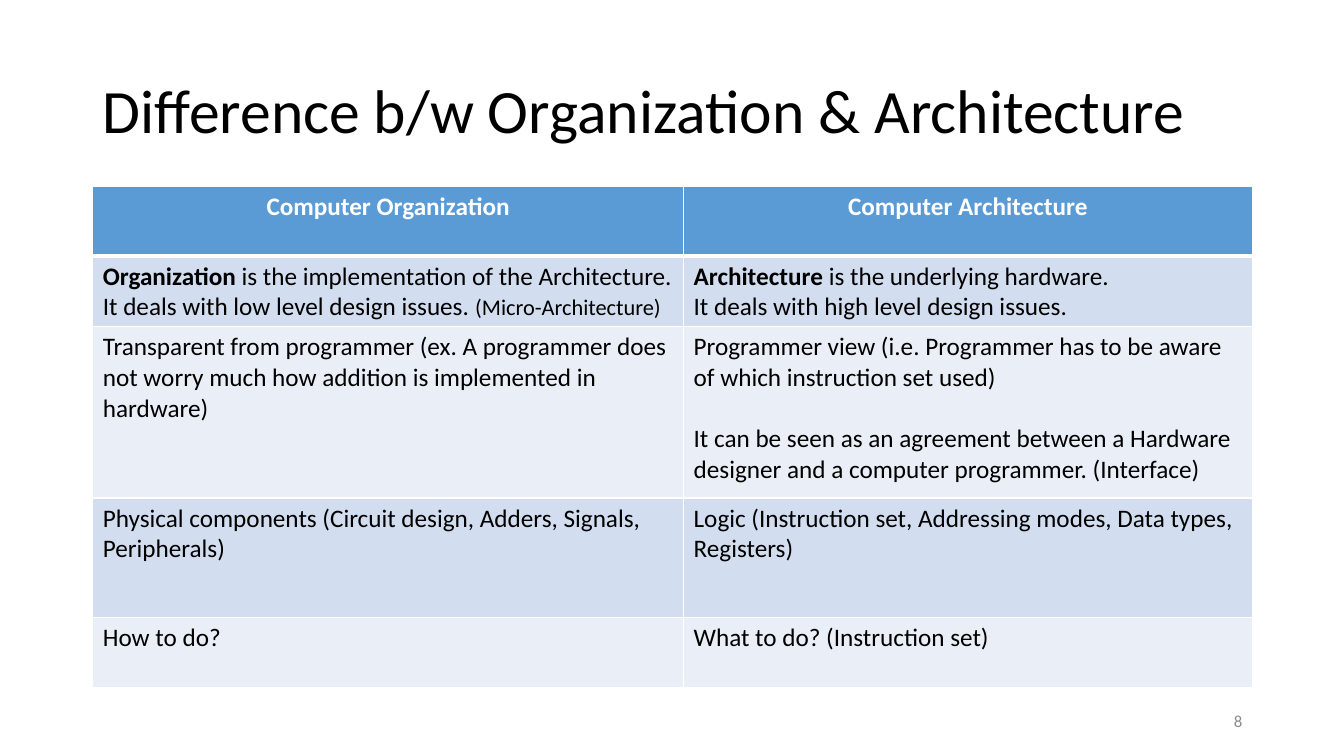
"""Build a slide that compares computer organization with architecture."""
from lxml.etree import SubElement
from pptx import Presentation
from pptx.dml.color import RGBColor
from pptx.enum.text import MSO_ANCHOR, PP_ALIGN
from pptx.oxml import parse_xml
from pptx.oxml.ns import nsdecls, qn
from pptx.util import Inches, Pt

BLACK = RGBColor(0x00, 0x00, 0x00)
WHITE = RGBColor(0xFF, 0xFF, 0xFF)
GRAY = RGBColor(0x8C, 0x8C, 0x8C)
BLUE = RGBColor(0x5B, 0x9B, 0xD5)
BANDS = RGBColor(0xEA, 0xEF, 0xF7), RGBColor(0xD2, 0xDE, 0xEF)

WIDTH, HEIGHT = 13.33, 7.5
MARGIN, TABLE_TOP = 0.92, 1.85
COLS = 5.86, 5.64
ROWS = 0.69, 0.69, 1.7, 1.19, 0.69
GAP = Pt(22)

BODY = {"size": Pt(18), "bold": False}
STRONG = {"bold": True}
SMALL = {"size": Pt(16)}

TITLE = "Difference b/w Organization & Architecture"
PAGE = "8"
TABLE = [
    [[[("Computer Organization", STRONG)]],
     [[("Computer Architecture", STRONG)]]],
    [[[("Organization", STRONG), (" is the implementation of the Architecture.", {})],
      [("It deals with low level design issues. ", {}), ("(Micro-Architecture)", SMALL)]],
     [[("Architecture", STRONG), (" is the underlying hardware.", {})],
      [("It deals with high level design issues.", {})]]],
    [[[("Transparent from programmer (ex. A programmer does not worry much "
        "how addition is implemented in hardware)", {})]],
     [[("Programmer view (i.e. Programmer has to be aware of which instruction set used)", {})],
      [("It can be seen as an agreement between a Hardware designer and a "
        "computer programmer. (Interface)", {})]]],
    [[[("Physical components (Circuit design, Adders, Signals, Peripherals)", {})]],
     [[("Logic (Instruction set, Addressing modes, Data types, Registers)", {})]]],
    [[[("How to do?", {})]],
     [[("What to do? (Instruction set)", {})]]],
]


def add_run(p, text, color, fmt):
    r = p.add_run()
    r.text = text
    r.font.name = "Calibri"
    r.font.color.rgb = color
    for name, value in fmt.items():
        setattr(r.font, name, value)


def add_text(s, text, box, color, size, **para):
    tf = s.shapes.add_textbox(*map(Inches, box)).text_frame
    tf.word_wrap = True
    tf.vertical_anchor = MSO_ANCHOR.MIDDLE
    p = tf.paragraphs[0]
    for name, value in para.items():
        setattr(p, name, value)
    add_run(p, text, color, {"size": Pt(size)})


def set_borders(cell, row):
    tc_pr = cell._tc.get_or_add_tcPr()
    widths = {"L": 1, "R": 1, "T": 3 if row == 1 else 1, "B": 3 if row == 0 else 1}
    for i, (side, width) in enumerate(widths.items()):
        ln = parse_xml(f'<a:ln{side} {nsdecls("a")} w="{Pt(width)}"/>')
        SubElement(SubElement(ln, qn("a:solidFill")), qn("a:srgbClr"), val=str(WHITE))
        tc_pr.insert(i, ln)


def fill_cell(cell, paragraphs, row):
    header = row == 0
    cell.fill.solid()
    cell.fill.fore_color.rgb = BLUE if header else BANDS[row % 2]
    set_borders(cell, row)
    tf = cell.text_frame
    for i, runs in enumerate(paragraphs):
        p = tf.add_paragraph() if i else tf.paragraphs[0]
        p.alignment = PP_ALIGN.CENTER if header else PP_ALIGN.LEFT
        if i and row == 2:
            p.space_before = GAP
        for text, fmt in runs:
            add_run(p, text, WHITE if header else BLACK, BODY | fmt)


def add_comparison(s):
    box = MARGIN, TABLE_TOP, sum(COLS), sum(ROWS)
    table = s.shapes.add_table(len(ROWS), len(COLS), *map(Inches, box)).table
    table.horz_banding = False
    for col, width in zip(table.columns, COLS):
        col.width = Inches(width)
    for i, (height, cells) in enumerate(zip(ROWS, TABLE)):
        table.rows[i].height = Inches(height)
        for j, paragraphs in enumerate(cells):
            fill_cell(table.cell(i, j), paragraphs, i)


def main():
    prs = Presentation()
    prs.slide_width, prs.slide_height = Inches(WIDTH), Inches(HEIGHT)
    s = prs.slides.add_slide(prs.slide_layouts[6])
    right = MARGIN + sum(COLS)
    add_text(s, TITLE, (MARGIN, 0.4, sum(COLS), 1.45), BLACK, 44, line_spacing=0.9)
    add_comparison(s)
    add_text(s, PAGE, (right - 3, 6.95, 3, 0.4), GRAY, 12, alignment=PP_ALIGN.RIGHT)
    prs.save("out.pptx")


if __name__ == "__main__":
    main()
